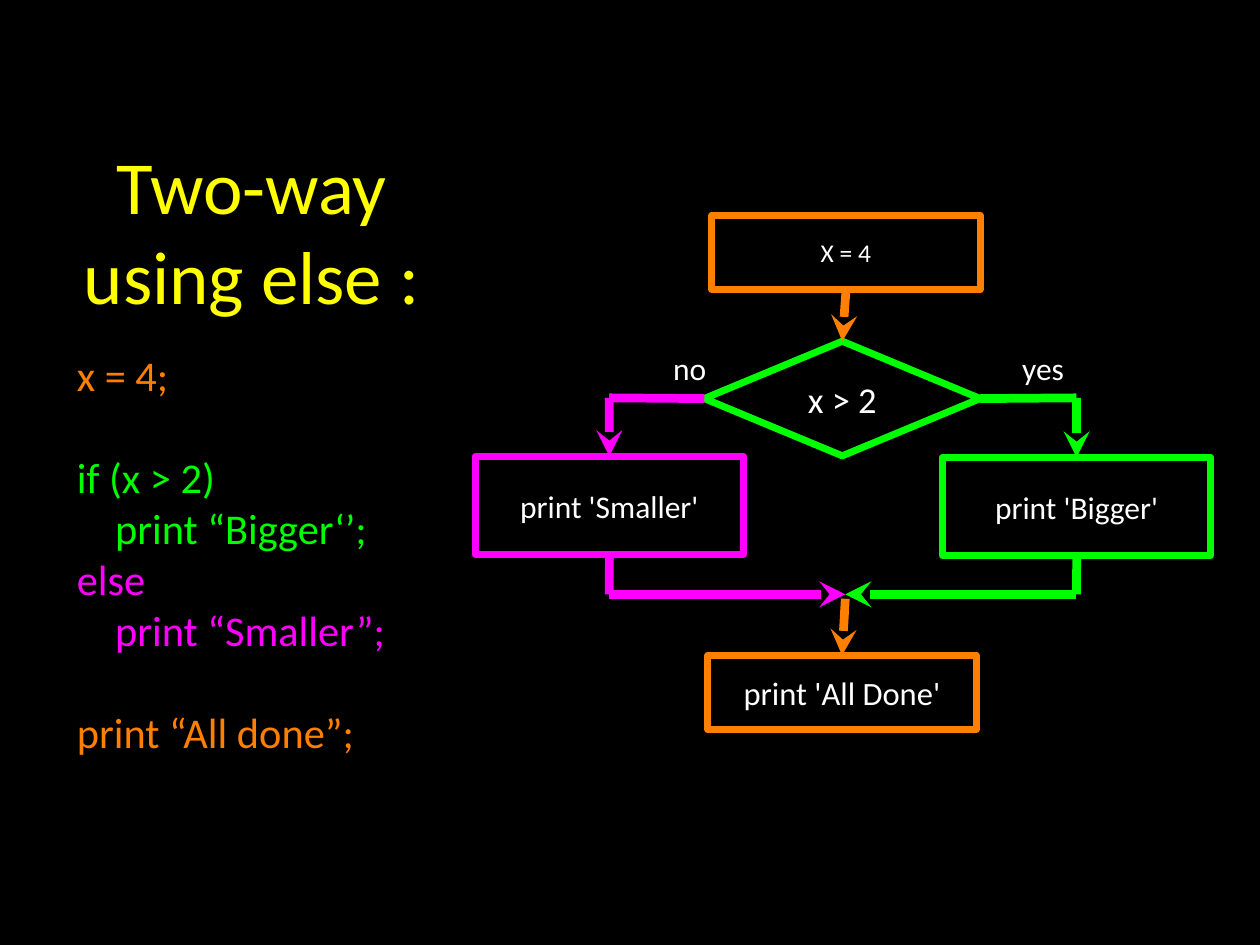
"""Build a slide on two-way decisions: code on the left, a flow chart on the right."""
from typing import NamedTuple, Union

import pptx
import pptx.dml.color
import pptx.enum.dml
import pptx.enum.shapes
import pptx.enum.text
import pptx.oxml
import pptx.util
from pptx.oxml import ns

Cm, Pt = pptx.util.Cm, pptx.util.Pt
Kind = pptx.enum.shapes.MSO_SHAPE
Align = pptx.enum.text.PP_ALIGN

ORANGE, GREEN, PINK = "FF7F00", "00FF00", "FF00FF"
WHITE, YELLOW, BLACK = "FFFFFF", "FFFF00", "000000"
TOP, LEFT, BOTTOM, RIGHT = range(4)
CODE = 24.2
LINE = 29.5


class Area(NamedTuple):
    left: float
    top: float
    width: float
    height: float


class Node(NamedTuple):
    name: str
    kind: int
    area: Area
    color: str
    text: str
    size: float


class Site(NamedTuple):
    name: str
    side: int


class Spot(NamedTuple):
    x: float
    y: float


class Link(NamedTuple):
    start: Union[Site, Spot]
    end: Union[Site, Spot]
    color: str
    arrow: bool


class Label(NamedTuple):
    text: str
    area: Area


class Row(NamedTuple):
    text: str
    color: str
    indent: float = 0
    gap: float = 0


NODES = [
    Node("test", Kind.DIAMOND, Area(14.2, 6.88, 5.56, 2.31), GREEN, "x > 2", 20.8),
    Node("big", Kind.RECTANGLE, Area(19, 9.22, 5.41, 1.98), GREEN, "print 'Bigger'", 18),
    Node("small", Kind.RECTANGLE, Area(9.58, 9.2, 5.41, 1.98), PINK, "print 'Smaller'", 18),
    Node("start", Kind.RECTANGLE, Area(14.35, 4.34, 5.41, 1.5), ORANGE, "X = 4", 14.6),
    Node("done", Kind.RECTANGLE, Area(14.27, 13.21, 5.41, 1.5), ORANGE, "print 'All Done'", 18.6),
]
LABELS = [
    Label("yes", Area(20.6, 7.04, 0.86, 0.76)),
    Label("no", Area(13.56, 7.04, 0.69, 0.76)),
]
ROWS = [
    Row("x = 4;", ORANGE),
    Row("if (x > 2)", GREEN, gap=LINE),
    Row("print “Bigger‘’;", GREEN, indent=0.77),
    Row("else", PINK),
    Row("print “Smaller”;", PINK, indent=0.77),
    Row("print “All done”;", ORANGE, gap=LINE),
]
MERGE = Spot(17.04, 11.98)


def branch(name: str, side: int, x: float, color: str) -> list[Link]:
    """List the four lines that run from the test through one box to the merge."""
    fork, turn = Spot(x, 8.02), Spot(x, MERGE.y)
    return [
        Link(Site("test", side), fork, color, False),
        Link(fork, Site(name, TOP), color, True),
        Link(Site(name, BOTTOM), turn, color, False),
        Link(turn, MERGE, color, True),
    ]


LINKS = [
    Link(Site("start", BOTTOM), Site("test", TOP), ORANGE, True),
    *branch("big", RIGHT, 21.7, GREEN),
    *branch("small", LEFT, 12.28, PINK),
    Link(Spot(17.04, 12.07), Site("done", TOP), ORANGE, True),
]


def paint(target, color: str) -> None:
    """Set a font, line or fill to a solid hex colour."""
    tint = pptx.dml.color.RGBColor.from_string(color)
    if hasattr(target, "solid"):
        target.solid()
        target.fore_color.rgb = tint
    else:
        target.color.rgb = tint


def place(shape, area: Area) -> None:
    """Move and size a shape."""
    shape.left, shape.top, shape.width, shape.height = map(Cm, area)


def frame(shape, inset: float = 0, wrap: bool = True):
    """Prepare and return the text frame of a shape."""
    text = shape.text_frame
    text.auto_size = pptx.enum.text.MSO_AUTO_SIZE.NONE
    text.word_wrap = wrap
    text.vertical_anchor = pptx.enum.text.MSO_ANCHOR.MIDDLE
    text.margin_left = text.margin_right = Cm(inset)
    text.margin_top = text.margin_bottom = Cm(inset)
    return text


def write(para, text: str, size: float, color: str, align=Align.CENTER) -> None:
    """Add one formatted run to a paragraph."""
    para.alignment = align
    run = para.add_run()
    run.text = text
    run.font.name = "Calibri"
    run.font.size = Pt(size)
    paint(run.font, color)


def list_code(shape, rows: list[Row]) -> None:
    """Fill the body with lines of code."""
    text = frame(shape)
    for i, row in enumerate(rows):
        para = text.add_paragraph() if i else text.paragraphs[0]
        para.space_before = Pt(row.gap)
        props = para._p.get_or_add_pPr()
        props.set("marL", str(Cm(row.indent)))
        props.set("indent", "0")
        pptx.oxml.xmlchemy.OxmlElement
        props.append(pptx.oxml.parse_xml(f"<a:buNone {ns.nsdecls('a')}/>"))
        write(para, row.text, CODE, row.color, Align.LEFT)


def draw_node(slide, node: Node):
    """Draw one outlined box and return it."""
    shape = slide.shapes.add_shape(node.kind, *map(Cm, node.area))
    shape.shadow.inherit = False
    shape.fill.background()
    paint(shape.line, node.color)
    shape.line.width = Pt(4)
    write(frame(shape).paragraphs[0], node.text, node.size, WHITE)
    return shape


def draw_label(slide, label: Label) -> None:
    """Draw the word beside a branch."""
    box = slide.shapes.add_textbox(*map(Cm, label.area))
    write(frame(box, wrap=False).paragraphs[0], label.text, 18, WHITE)


def draw_link(slide, link: Link, boxes: dict) -> None:
    """Draw a line, joined to boxes where it meets them."""
    ends = [end if isinstance(end, Spot) else Spot(0, 0) for end in link[:2]]
    line = slide.shapes.add_connector(
        pptx.enum.shapes.MSO_CONNECTOR.STRAIGHT, *map(Cm, ends[0] + ends[1]))
    for end, join in zip(link[:2], (line.begin_connect, line.end_connect)):
        if isinstance(end, Site):
            join(boxes[end.name], end.side)
    paint(line.line, link.color)
    line.line.width = Pt(5)
    if link.arrow:
        tip = pptx.oxml.parse_xml(f'<a:tailEnd {ns.nsdecls("a")} type="stealth"/>')
        line.line._get_or_add_ln().append(tip)
    line._element.spPr.append(pptx.oxml.parse_xml(f"<a:effectLst {ns.nsdecls('a')}/>"))


def main() -> None:
    """Build and save the slide."""
    deck = pptx.Presentation()
    deck.slide_width, deck.slide_height = Cm(25.4), Cm(19.05)
    slide = deck.slides.add_slide(deck.slide_layouts[1])
    paint(slide.background.fill, BLACK)
    title, body = slide.placeholders
    place(title, Area(0.86, 2.84, 8.43, 3.58))
    write(frame(title, 0.1).paragraphs[0], "Two-way using else :", 42.8, YELLOW)
    place(body, Area(1.55, 7.01, 6.6, 8.28))
    list_code(body, ROWS)
    boxes = {node.name: draw_node(slide, node) for node in NODES}
    for label in LABELS:
        draw_label(slide, label)
    for link in LINKS:
        draw_link(slide, link, boxes)
    deck.save("out.pptx")


if __name__ == "__main__":
    main()
